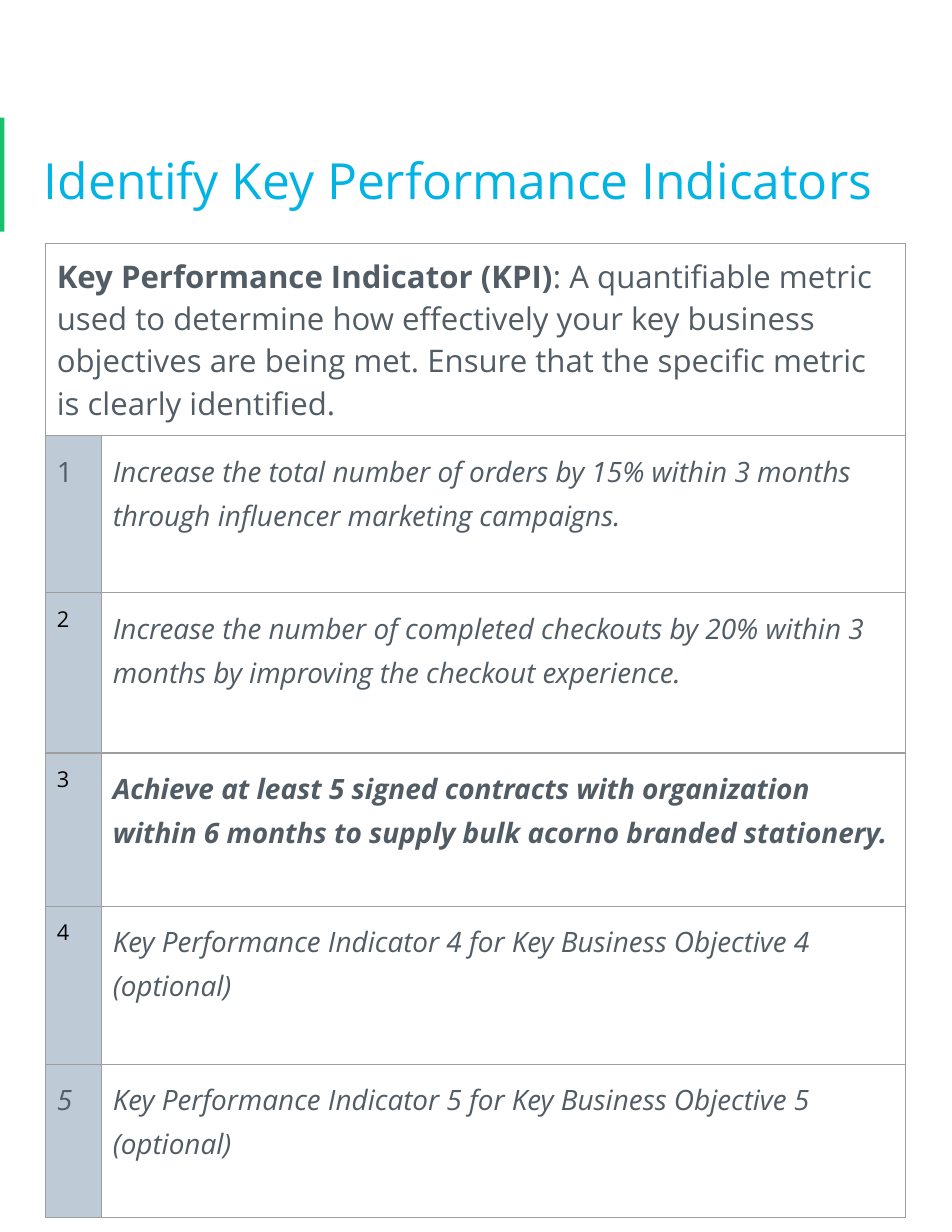
"""Build a one-page worksheet that lists key performance indicators in a table."""
from dataclasses import dataclass

from lxml import etree
from pptx import Presentation
from pptx.dml.color import RGBColor
from pptx.enum import shapes, text
from pptx.oxml import ns
from pptx.util import Pt

FONT = "Open Sans"
GREEN = RGBColor(0x15, 0xC2, 0x6B)
CYAN = RGBColor(0x02, 0xB3, 0xE4)
SLATE = RGBColor(0x52, 0x5C, 0x65)
BLACK = RGBColor(0x00, 0x00, 0x00)
PALE_BLUE = RGBColor(0xBE, 0xCB, 0xD6)
GREY = RGBColor(0x9E, 0x9E, 0x9E)
INSET = Pt(7.2)
COLUMN_WIDTHS = (36, 517)
HEADER_HEIGHT = 90


@dataclass(frozen=True)
class Run:
    wording: str
    size: float = 18
    color: RGBColor = SLATE
    bold: bool = False
    italic: bool = False


@dataclass(frozen=True)
class Indicator:
    number: Run
    goal: Run
    height: float


DEFINITION = (
    Run("Key Performance Indicator (KPI)", 20, bold=True),
    Run(":", 20),
    Run(" ", 20, italic=True),
    Run("A quantifiable metric used to determine how effectively your key business "
        "objectives are being met. Ensure that the specific metric is clearly identified.", 20),
)
INDICATORS = (
    Indicator(Run("1"), Run("Increase the total number of orders by 15% within 3 months "
                            "through influencer marketing campaigns.", italic=True), 101),
    Indicator(Run("2", 14, BLACK), Run("Increase the number of completed checkouts by 20% within 3 "
                                       "months by improving the checkout experience.", italic=True), 103),
    Indicator(Run("3", 14, BLACK), Run("Achieve at least 5 signed contracts with organization within 6 "
                                       "months to supply bulk acorno branded stationery.",
                                       bold=True, italic=True), 98.5),
    Indicator(Run("4", 14, BLACK), Run("Key Performance Indicator 4 for Key Business Objective 4 "
                                       "(optional)", italic=True), 101.5),
    Indicator(Run("5", italic=True), Run("Key Performance Indicator 5 for Key Business Objective 5 "
                                         "(optional)", italic=True), 98.5),
)


def add_runs(paragraph, runs: tuple[Run, ...]) -> None:
    for item in runs:
        run = paragraph.add_run()
        run.text = item.wording
        font = run.font
        font.name, font.size = FONT, Pt(item.size)
        font.bold, font.italic = item.bold, item.italic
        font.color.rgb = item.color


def set_insets(box) -> None:
    box.margin_left = box.margin_right = box.margin_top = box.margin_bottom = INSET


def add_borders(cell) -> None:
    properties = cell._tc.get_or_add_tcPr()
    for index, side in enumerate(("lnL", "lnR", "lnT", "lnB")):
        line = etree.Element(ns.qn(f"a:{side}"), w=str(Pt(0.75)))
        fill = etree.SubElement(line, ns.qn("a:solidFill"))
        etree.SubElement(fill, ns.qn("a:srgbClr"), val=str(GREY))
        properties.insert(index, line)


def fill_cell(cell, runs: tuple[Run, ...], fill: RGBColor | None = None,
              line_spacing: float | None = None, space_after: float | None = None) -> None:
    set_insets(cell)
    paragraph = cell.text_frame.paragraphs[0]
    if line_spacing:
        paragraph.line_spacing = line_spacing
    if space_after:
        paragraph.space_after = Pt(space_after)
    add_runs(paragraph, runs)
    if fill:
        cell.fill.solid()
        cell.fill.fore_color.rgb = fill


def add_title(slide) -> None:
    title = slide.shapes.title
    title.left, title.top, title.width, title.height = Pt(21), Pt(68.5), Pt(570), Pt(88)
    frame = title.text_frame
    set_insets(frame)
    frame.word_wrap = True
    frame.auto_size = text.MSO_AUTO_SIZE.NONE
    frame.vertical_anchor = text.MSO_ANCHOR.MIDDLE
    paragraph = frame.paragraphs[0]
    paragraph.alignment = text.PP_ALIGN.LEFT
    paragraph.line_spacing = 1.15
    add_runs(paragraph, (Run("Identify Key Performance Indicators", 32, CYAN),))


def add_accent(slide) -> None:
    accent = slide.shapes.add_shape(shapes.MSO_SHAPE.RECTANGLE, Pt(0), Pt(75.6), Pt(2.9), Pt(73.4))
    accent.shadow.inherit = False
    accent.fill.solid()
    accent.fill.fore_color.rgb = GREEN
    accent.line.fill.background()


def add_indicator_table(slide) -> None:
    heights = (HEADER_HEIGHT, *(indicator.height for indicator in INDICATORS))
    table = slide.shapes.add_table(len(heights), len(COLUMN_WIDTHS), Pt(29.3), Pt(156.7),
                                   Pt(sum(COLUMN_WIDTHS)), Pt(sum(heights))).table
    table.first_row = table.horz_banding = False
    for column, width in zip(table.columns, COLUMN_WIDTHS):
        column.width = Pt(width)
    for row, height in zip(table.rows, heights):
        row.height = Pt(height)
    for cell in table.iter_cells():
        cell.fill.background()
        add_borders(cell)

    header = table.cell(0, 0)
    header.merge(table.cell(0, 1))
    header.vertical_anchor = text.MSO_ANCHOR.MIDDLE
    fill_cell(header, DEFINITION, space_after=16)
    for index, indicator in enumerate(INDICATORS, start=1):
        spacing = (None, None) if indicator.number.color == BLACK else (1.15, 16)
        fill_cell(table.cell(index, 0), (indicator.number,), PALE_BLUE, *spacing)
        fill_cell(table.cell(index, 1), (indicator.goal,), None, 1.15, 16)


def main() -> None:
    presentation = Presentation()
    presentation.slide_width, presentation.slide_height = Pt(612), Pt(792)
    slide = presentation.slides.add_slide(presentation.slide_layouts[5])
    add_accent(slide)
    add_title(slide)
    add_indicator_table(slide)
    presentation.save("out.pptx")


if __name__ == "__main__":
    main()
